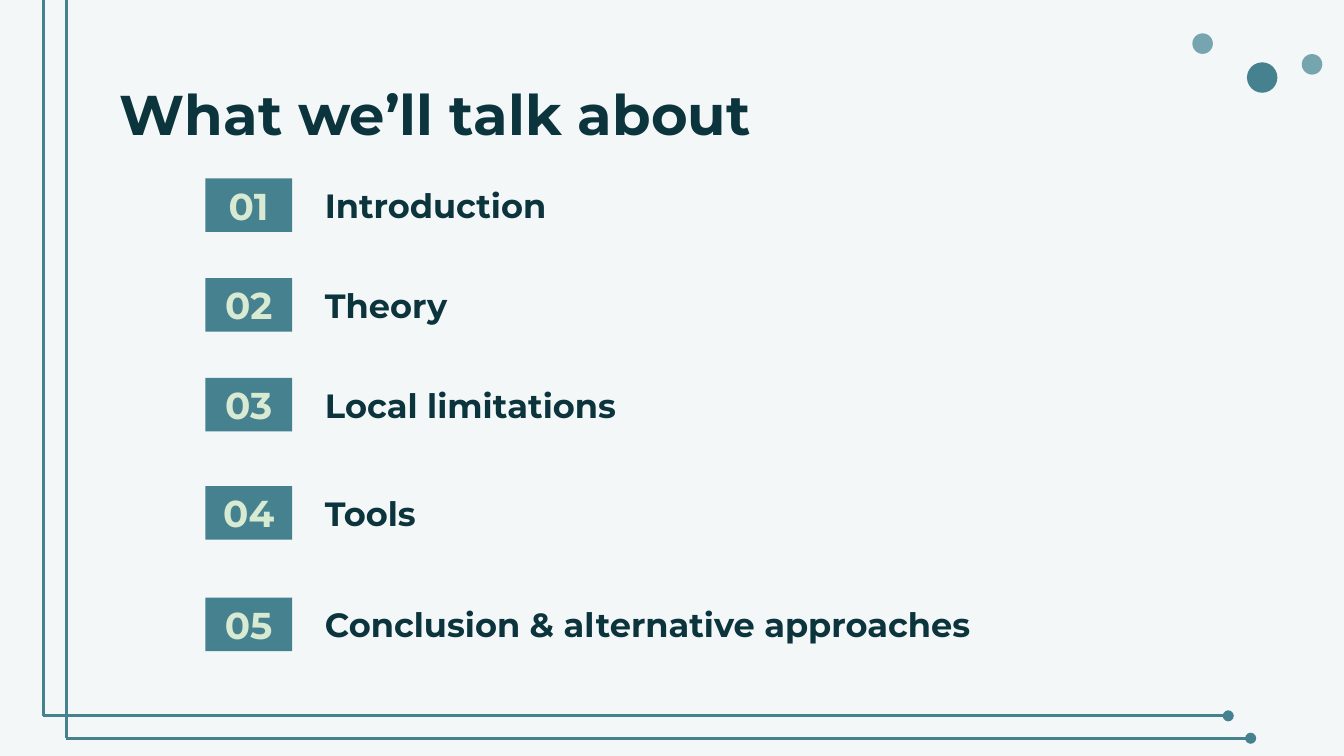
from lxml import etree
from pptx import Presentation
from pptx.dml.color import RGBColor
from pptx.enum.shapes import MSO_CONNECTOR as CONNECTOR, MSO_SHAPE as SHAPE
from pptx.enum.text import MSO_ANCHOR as ANCHOR, PP_ALIGN as ALIGN
from pptx.oxml.ns import qn
from pptx.util import Pt

COLORS = {
    "background": "F3F7F8",
    "teal": "45818E",
    "light_teal": "76A5AF",
    "dark": "0C343D",
    "number": "D9EAD3",
}


def color(name):
    return RGBColor.from_string(COLORS[name])


def write_text(shape, text, size, fill="dark", align=ALIGN.LEFT, anchor=ANCHOR.TOP, spacing=1.0):
    frame = shape.text_frame
    frame.word_wrap = True
    frame.vertical_anchor = anchor
    frame.margin_left = frame.margin_right = Pt(7.2)
    frame.margin_top = frame.margin_bottom = Pt(7.2)
    frame.text = text
    paragraph = frame.paragraphs[0]
    paragraph.alignment = align
    paragraph.line_spacing = spacing
    paragraph.space_before = Pt(0)
    paragraph.font.name = "Montserrat"
    paragraph.font.size = Pt(size)
    paragraph.font.bold = True
    paragraph.font.color.rgb = color(fill)


presentation = Presentation()
presentation.slide_width = Pt(720)
presentation.slide_height = Pt(405)
slide = presentation.slides.add_slide(presentation.slide_layouts[5])
slide.background.fill.solid()
slide.background.fill.fore_color.rgb = color("background")

dots = [
    (668, 33.4, 16.3, "teal"),
    (638.8, 17.9, 11, "light_teal"),
    (697.4, 29, 11, "light_teal"),
]
for left, top, diameter, fill in dots:
    dot = slide.shapes.add_shape(SHAPE.OVAL, Pt(left), Pt(top), Pt(diameter), Pt(diameter))
    dot.shadow.inherit = False
    dot.fill.solid()
    dot.fill.fore_color.rgb = color(fill)
    dot.line.fill.background()

for left, bottom, right in [(23.3, 383.5, 658), (35.5, 395.5, 670)]:
    segments = [(left, 0, left, bottom, False), (left, bottom, right, bottom, True)]
    for start_x, start_y, end_x, end_y, has_dot in segments:
        connector = slide.shapes.add_connector(
            CONNECTOR.STRAIGHT, Pt(start_x), Pt(start_y), Pt(end_x), Pt(end_y)
        )
        connector.line.color.rgb = color("teal")
        connector.line.width = Pt(1.5)
        if has_dot:
            etree.SubElement(connector.line._get_or_add_ln(), qn("a:tailEnd"), type="oval")
        etree.SubElement(connector._element.spPr, qn("a:effectLst"))

title = slide.shapes.title
title.left, title.top, title.width, title.height = Pt(57), Pt(35.3), Pt(607), Pt(45.4)
write_text(title, "What we’ll talk about", size=30)

topics = [
    ("Introduction", 95.6),
    ("Theory", 149),
    ("Local limitations", 202.5),
    ("Tools", 260.5),
    ("Conclusion & alternative approaches", 320.2),
]
for number, (topic, top) in enumerate(topics, start=1):
    badge = slide.shapes.add_shape(SHAPE.RECTANGLE, Pt(110), Pt(top), Pt(46.5), Pt(28.7))
    badge.shadow.inherit = False
    badge.fill.solid()
    badge.fill.fore_color.rgb = color("teal")
    badge.line.fill.background()
    write_text(badge, f"{number:02d}", size=20, fill="number", align=ALIGN.CENTER, anchor=ANCHOR.MIDDLE)

    label = slide.shapes.add_textbox(Pt(167), Pt(top + 3.6), Pt(380), Pt(28.7))
    write_text(label, topic, size=18, anchor=ANCHOR.BOTTOM, spacing=1.15)

presentation.save("out.pptx")
